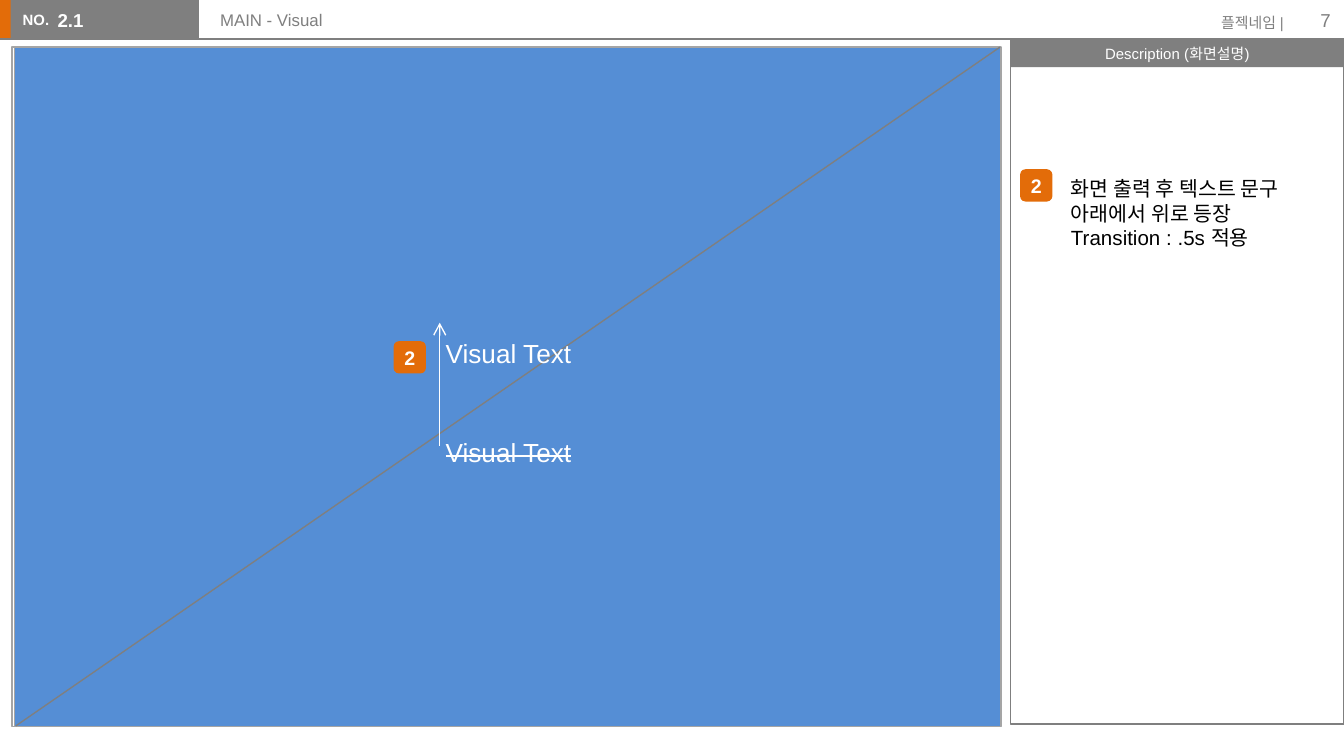
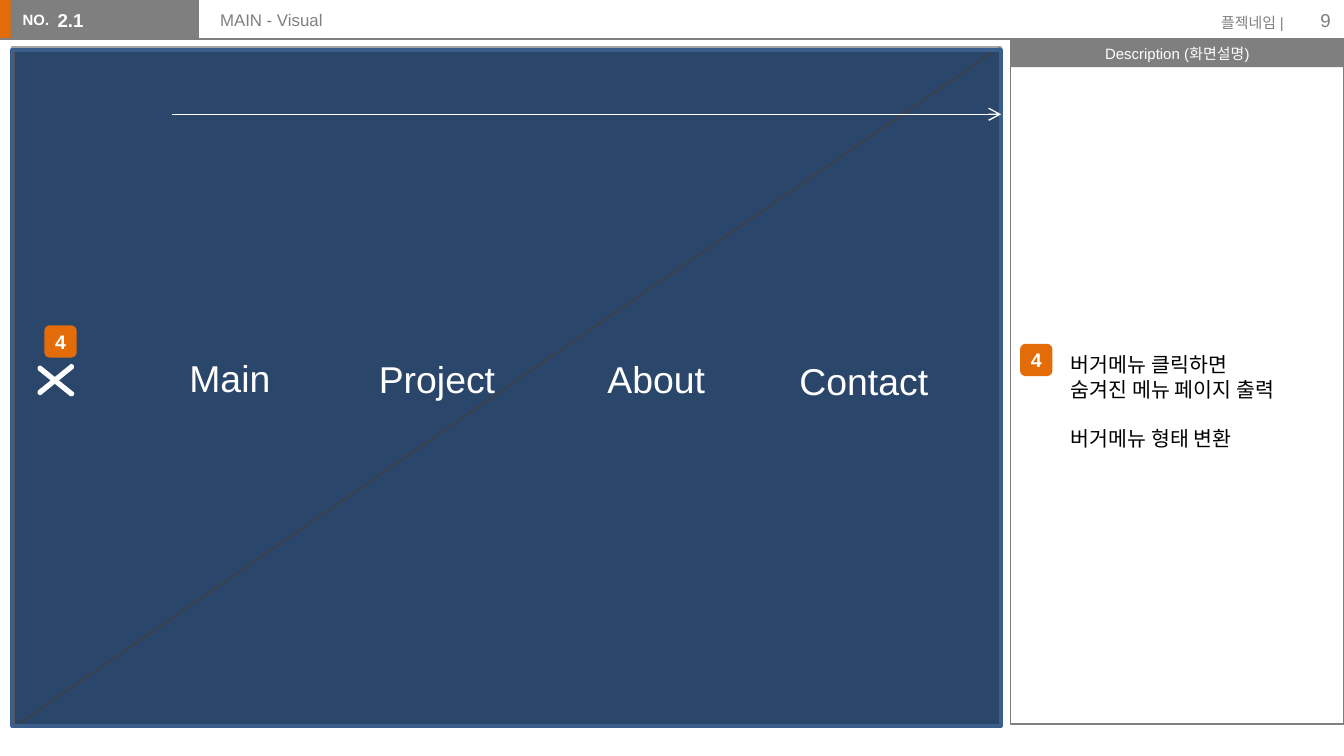
import dataclasses

import pptx
import pptx.dml.color
import pptx.enum.shapes
import pptx.enum.text
import pptx.oxml
import pptx.oxml.ns
import pptx.util
from pptx.util import Cm

SHAPE = pptx.enum.shapes.MSO_SHAPE
ALIGN = pptx.enum.text.PP_ALIGN
ANCHOR = pptx.enum.text.MSO_ANCHOR
FIT = pptx.enum.text.MSO_AUTO_SIZE


@dataclasses.dataclass(frozen=True)
class Theme:
    font: str = "Arial"
    orange: str = "E36C09"
    gray: str = "7F7F7F"
    pale: str = "A5A5A5"
    blue: str = "558ED5"
    navy: str = "3A5F8C"
    white: str = "FFFFFF"
    black: str = "000000"
    label: float = 8
    title: float = 9
    number: float = 10
    badge: float = 10.5
    note: float = 11
    visual: float = 14
    menu: float = 20
    hairline: float = 0.75
    thick: float = 2


def rgb(color):
    return pptx.dml.color.RGBColor.from_string(color)


def set_values(target, values):
    for name, value in values.items():
        setattr(target, name, value)


class Storyboard:
    """Holds the theme and the current slide, and draws each kind of element."""

    def __init__(self, theme):
        self.theme = theme
        self.deck = pptx.Presentation()
        set_values(self.deck, {"slide_width": Cm(25.4), "slide_height": Cm(14.29)})
        self.page = None
        self.shapes = None

    def add_page(self):
        self.page = self.deck.slides.add_slide(self.deck.slide_layouts[6])
        self.shapes = self.page.shapes

    def add_lines(self, box, lines, size, color, bold=False, strike=False,
                  align=ALIGN.LEFT, gaps=None, **frame):
        """Add one paragraph per line; gaps maps a line index to space before."""
        set_values(box.text_frame, {"word_wrap": True, **frame})
        for index, line in enumerate(lines):
            para = (box.text_frame.add_paragraph() if index
                    else box.text_frame.paragraphs[0])
            para.alignment = align
            if gaps and index in gaps:
                para.space_before = pptx.util.Pt(gaps[index])
            span = para.add_run()
            span.text = line
            set_values(span.font, {"name": self.theme.font, "bold": bold,
                                   "size": pptx.util.Pt(size)})
            span.font.color.rgb = rgb(color)
            if strike:
                span.font._element.set("strike", "sngStrike")

    def text(self, place, lines, size, color, pad=(0.25, 0.13), **style):
        box = self.shapes.add_textbox(*map(Cm, place))
        side, top = map(Cm, pad)
        self.add_lines(box, lines, size, color, margin_left=side,
                       margin_right=side, margin_top=top, margin_bottom=top,
                       **style)

    def shape(self, place, fill=None, line=None, width=None, alpha=None,
              kind=SHAPE.RECTANGLE, rotation=0):
        box = self.shapes.add_shape(kind, *map(Cm, place))
        box.shadow.inherit = False
        box.rotation = rotation
        if fill:
            box.fill.solid()
            box.fill.fore_color.rgb = rgb(fill)
        else:
            box.fill.background()
        if alpha is not None:
            color = box._element.spPr.find(".//" + pptx.oxml.ns.qn("a:srgbClr"))
            color.append(pptx.oxml.parse_xml(
                f'<a:alpha {pptx.oxml.ns.nsdecls("a")} val="{alpha * 1000}"/>'))
        if line:
            box.line.color.rgb = rgb(line)
            box.line.width = pptx.util.Pt(width or self.theme.hairline)
        else:
            box.line.fill.background()
        return box

    def line(self, start, end, color, arrow=False):
        line = self.shapes.add_connector(
            pptx.enum.shapes.MSO_CONNECTOR.STRAIGHT, *map(Cm, start + end))
        line.line.color.rgb = rgb(color)
        line.line.width = pptx.util.Pt(self.theme.hairline)
        space = pptx.oxml.ns.nsdecls("a")
        if arrow:
            line.line._get_or_add_ln().append(
                pptx.oxml.parse_xml(f'<a:tailEnd {space} type="arrow"/>'))
        line._element.spPr.append(pptx.oxml.parse_xml(f"<a:effectLst {space}/>"))

    def badge(self, left, top, number):
        theme = self.theme
        box = self.shape((left, top, 0.61, 0.61), theme.orange,
                         kind=SHAPE.ROUNDED_RECTANGLE)
        self.add_lines(box, [number], theme.badge, theme.white, bold=True,
                       align=ALIGN.CENTER, vertical_anchor=ANCHOR.MIDDLE,
                       margin_left=0, margin_right=0)

    def fitted(self, place, lines, size, color, **style):
        self.text(place, lines, size, color, word_wrap=False,
                  auto_size=FIT.SHAPE_TO_FIT_TEXT, **style)

    def note(self, top, number, place, lines, gaps=None):
        """Numbered entry in the description panel."""
        self.badge(19.28, top, number)
        self.fitted(place, lines, self.theme.note, self.theme.black, gaps=gaps)

    def screen(self, page_number):
        """Parts every page shares: header, description panel, main visual."""
        theme = self.theme
        self.add_page()
        # Header band
        self.shape((-0.03, 0, 0.3, 0.74), theme.orange)
        self.shape((0.2, 0, 3.56, 0.74), theme.gray)
        self.text((0.18, 0.08, 1.04, 0.61), ["NO."], theme.label, theme.white,
                  bold=True)
        self.line((0, 0.74), (19.46, 0.74), theme.gray)
        # Description panel
        heading = self.shape((19.1, 0.74, 6.3, 0.53), theme.gray)
        self.add_lines(heading, ["Description (화면설명)"], theme.label, theme.white,
                       align=ALIGN.CENTER, vertical_anchor=ANCHOR.MIDDLE,
                       margin_top=Cm(0.1), margin_bottom=Cm(0.1))
        self.shape((19.1, 0.74, 6.3, 12.95), line=theme.gray)
        self.text((22.68, 0.13, 1.83, 0.61), ["플젝네임 |"], theme.label,
                  theme.gray, align=ALIGN.RIGHT)
        # Main visual with its diagonal
        self.shape((0.23, 0.89, 18.64, 12.85), theme.white, theme.pale, alpha=70)
        self.shapes = self.page.shapes.add_group_shape().shapes
        self.shape((0.28, 0.89, 18.64, 12.85), theme.blue, theme.pale)
        self.line((18.9, 0.89), (0.3, 13.72), theme.gray)
        self.shapes = self.page.shapes
        # Page number, title and section number
        self.text((23.88, 0, 1.52, 0.76), [page_number], theme.number, theme.gray,
                  align=ALIGN.RIGHT, vertical_anchor=ANCHOR.MIDDLE)
        self.text((3.91, 0.05, 14.25, 0.81), ["MAIN - Visual"], theme.title,
                  theme.gray)
        self.text((1.09, 0.03, 2.79, 0.79), ["2.1"], theme.number, theme.white,
                  pad=(0, 0.13), bold=True)


def visual_text_page(board):
    theme = board.theme
    board.screen("7")
    # Text rising from the struck position to the final one
    for top, strike in ((6.12, False), (8, True)):
        board.text((2.64, top, 13.94, 1.27), ["Visual Text"], theme.visual,
                   theme.white, pad=(0.25, 0.25), align=ALIGN.CENTER, strike=strike)
    board.badge(7.44, 6.45, "2")
    board.line((8.31, 8.43), (8.31, 6.1), theme.white, arrow=True)
    board.note(3.2, "2", (19.99, 3.2, 4.98, 1.68),
               ["화면 출력 후 텍스트 문구", "아래에서 위로 등장",
                "Transition : .5s 적용"])


def menu_page(board):
    theme = board.theme
    board.screen("9")
    # Dark overlay
    board.shape((0.23, 0.94, 18.69, 12.78), theme.black, theme.navy, theme.thick,
                alpha=50)
    # Close button
    for top, rotation in ((7.16, -39), (7.19, 39)):
        board.shape((0.66, top, 0.79, 0.03), theme.white, theme.white, theme.thick,
                    rotation=rotation)
    board.line((3.25, 2.16), (18.92, 2.16), theme.white, arrow=True)
    board.badge(0.84, 6.15, "4")
    board.note(6.5, "4", (19.99, 6.53, 4.75, 2.13),
               ["버거메뉴 클릭하면", "숨겨진 메뉴 페이지 출력", "버거메뉴 형태 변환"],
               gaps={2: 13})
    # Menu entries
    for name, left, top, width in (("Main", 3.33, 6.58, 2.06),
                                   ("Project", 6.91, 6.6, 2.72),
                                   ("About", 11.23, 6.6, 2.36),
                                   ("Contact", 14.86, 6.63, 2.97)):
        board.fitted((left, top, width, 1.12), [name], theme.menu, theme.white,
                     vertical_anchor=ANCHOR.MIDDLE)


def main():
    board = Storyboard(Theme())
    visual_text_page(board)
    menu_page(board)
    board.deck.save("out.pptx")


if __name__ == "__main__":
    main()
